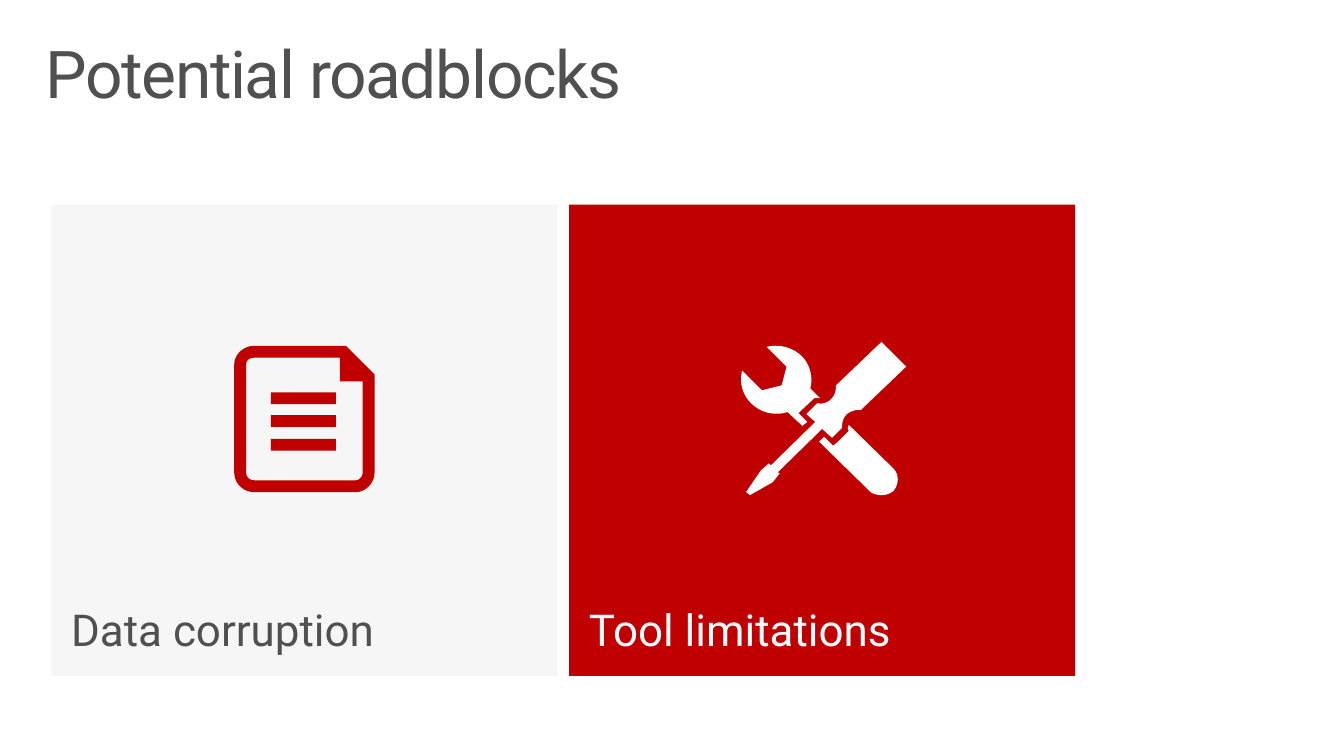
from pptx import Presentation
from pptx.dml.color import RGBColor
from pptx.enum.shapes import MSO_SHAPE
from pptx.enum.text import MSO_ANCHOR, PP_ALIGN
from pptx.util import Pt

EMU_PER_PX = 9144
GREY, RED, WHITE, PALE = "505050", "C00000", "FFFFFF", "F6F6F6"
CURVE_STEPS = 10

DOCUMENT = [
    [(350, 350), (257, 350), (246, 350, 237, 359, 237, 369), (237, 478),
     (237, 489, 246, 498, 257, 498), (360, 498),
     (370, 498, 379, 489, 379, 478), (379, 379)],
    [(360, 486), (257, 486), (252, 486, 249, 482, 249, 478), (249, 369),
     (249, 365, 252, 362, 257, 362), (344, 362), (344, 386), (367, 386),
     (367, 478), (367, 482, 364, 486, 360, 486)],
]
SCREWDRIVER = [
    (832, 434), (842, 443), (852, 433), (852, 428, 853, 423, 857, 419),
    (861, 416, 867, 414, 871, 415), (917, 371), (892, 346), (846, 390),
    (846, 395, 845, 400, 841, 404), (837, 408, 832, 409, 827, 408),
    (816, 419), (825, 427), (780, 471), (778, 469), (770, 476), (755, 498),
    (759, 501), (782, 488), (789, 479), (787, 478),
]
WRENCH_HANDLE = [
    (859, 430), (858, 432, 858, 433, 858, 434), (859, 436), (857, 438),
    (847, 448), (843, 451), (834, 442), (829, 447), (880, 497),
    (883, 500, 888, 501, 892, 501), (896, 501, 900, 500, 904, 497),
    (910, 490, 910, 480, 904, 474),
]
WRENCH_HEAD = [
    (797, 417), (812, 431), (817, 427), (811, 421), (808, 418), (824, 403),
    (825, 403), (826, 403, 826, 403, 827, 403),
    (828, 403, 829, 403, 830, 403), (821, 394), (820, 393),
    (823, 382, 820, 369, 811, 360), (801, 351, 788, 348, 776, 351),
    (796, 371), (791, 390), (771, 395), (751, 375),
    (748, 387, 751, 399, 760, 408), (770, 418, 784, 421, 797, 417),
]


def px(length):
    return round(length * EMU_PER_PX)


def color(hex_code):
    return RGBColor.from_string(hex_code)


def paint(shape, fill):
    shape.shadow.inherit = False
    shape.fill.solid()
    shape.fill.fore_color.rgb = color(fill)
    shape.line.fill.background()


def write(shape, text, *, size, ink, inset, anchor, tracking=None):
    frame = shape.text_frame
    frame.word_wrap = True
    frame.vertical_anchor = anchor
    frame.margin_left = frame.margin_right = px(inset[0])
    frame.margin_top = frame.margin_bottom = px(inset[1])
    paragraph = frame.paragraphs[0]
    paragraph.alignment = PP_ALIGN.LEFT
    paragraph.line_spacing = 0.9
    run = paragraph.add_run()
    run.text = text
    run.font.name = "Roboto"
    run.font.size = Pt(size)
    run.font.color.rgb = color(ink)
    if tracking is not None:
        run._r.get_or_add_rPr().set("spc", str(tracking * 100))


def add_box(slide, left, top, width, height, fill):
    box = slide.shapes.add_shape(
        MSO_SHAPE.RECTANGLE, px(left), px(top), px(width), px(height))
    paint(box, fill)
    return box


def flatten(contour):
    points = []
    for step in contour:
        if len(step) == 2:
            points.append(step)
            continue
        nodes = [points[-1], step[:2], step[2:4], step[4:]]
        for i in range(1, CURVE_STEPS + 1):
            t = i / CURVE_STEPS
            weights = ((1 - t) ** 3, 3 * t * (1 - t) ** 2,
                       3 * t * t * (1 - t), t ** 3)
            points.append(tuple(
                sum(w * node[axis] for w, node in zip(weights, nodes))
                for axis in (0, 1)))
    return [(px(x), px(y)) for x, y in points]


def add_icon(slide, contours, fill):
    first, *others = map(flatten, contours)
    builder = slide.shapes.build_freeform(*first[0], scale=1.0)
    builder.add_line_segments(first[1:], close=True)
    for outline in others:
        builder.move_to(*outline[0])
        builder.add_line_segments(outline[1:], close=True)
    paint(builder.convert_to_shape(), fill)


def main():
    deck = Presentation()
    deck.slide_width, deck.slide_height = px(1360), px(765)
    slide = deck.slides.add_slide(deck.slide_layouts[6])

    roadblocks = [("Data corruption", PALE, GREY), ("Tool limitations", RED, WHITE)]
    for column, (label, fill, ink) in enumerate(roadblocks):
        tile = add_box(slide, 52 + 524 * column, 207, 512, 477, fill)
        write(tile, label, size=32, ink=ink, inset=(20, 20),
              anchor=MSO_ANCHOR.BOTTOM)

    for row in range(3):
        add_box(slide, 274, 397 + 47 * row // 2, 66, 12, RED)
    add_icon(slide, DOCUMENT, RED)
    add_icon(slide, [SCREWDRIVER, WRENCH_HANDLE, WRENCH_HEAD], WHITE)

    title = slide.shapes.add_textbox(px(30), px(32), px(1300), px(100))
    write(title, "Potential roadblocks", size=48, ink=GREY, inset=(16, 10),
          anchor=MSO_ANCHOR.TOP, tracking=-1)

    deck.save("out.pptx")


if __name__ == "__main__":
    main()
